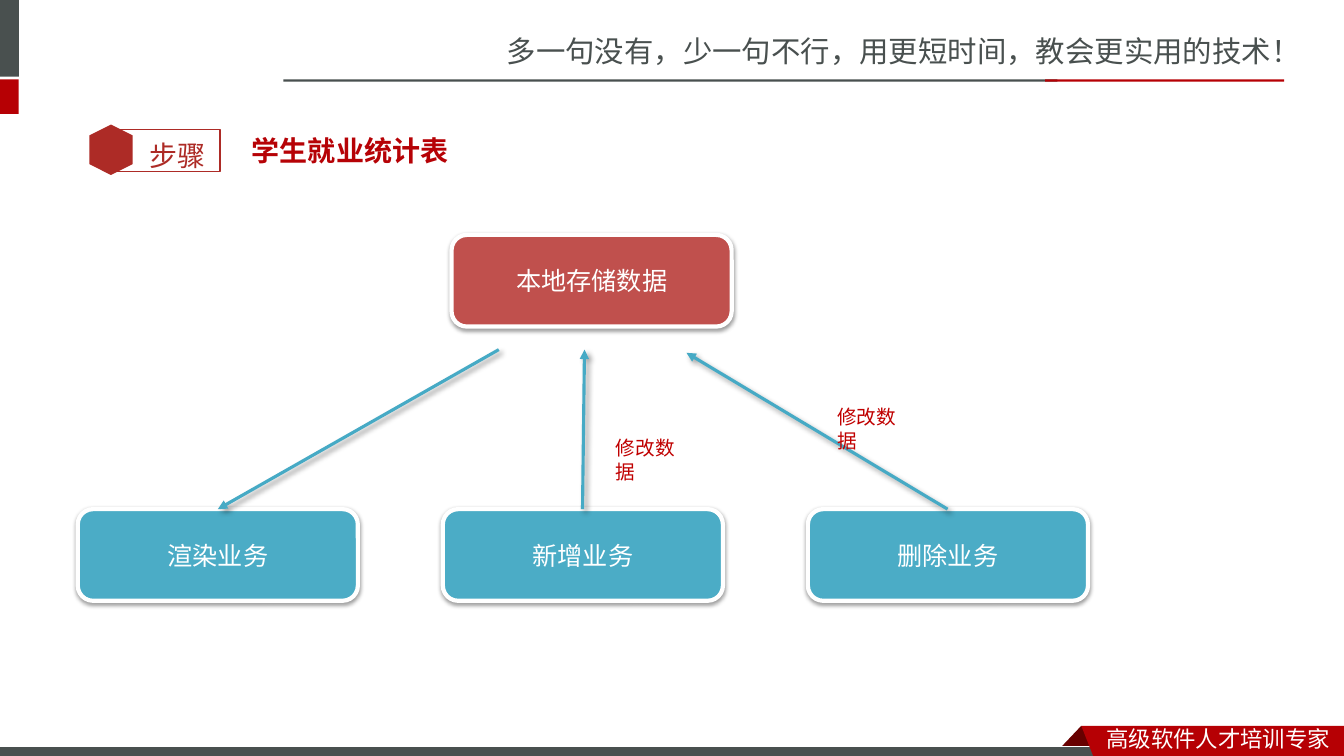
from lxml.etree import SubElement as Sub
from pptx import Presentation
from pptx.dml.color import RGBColor as Color
from pptx.enum.shapes import MSO_CONNECTOR as Link, MSO_SHAPE as Form
from pptx.enum.text import MSO_ANCHOR as Anchor, PP_ALIGN as Align
from pptx.oxml.ns import qn
from pptx.util import Cm, Pt


class Theme:
    gray, red, dark, rust = "49504F", "B60004", "680000", "AD2B26"
    title, label, white = "B60206", "C00000", "FFFFFF"
    teal, brick, arrow = "4BACC6", "C0504D", "46AAC5"
    sans, kanji = "Noto Sans CJK SC", "Noto Sans CJK JP"
    body, head, badge = "Calibri", "Lato", "Roboto"
    big, mid, node, foot, small = 21, 20, 18, 16, 14
    glow = (38, 3.1, 1.6, 90)
    drop = (40, 4, 3, 45)


BARS = [
    ((0, 0, 0.48, 1.93), Theme.gray),
    ((0, 2, 0.47, 0.87), Theme.red),
    ((7.14, 2, 19.51, 0.06), Theme.gray),
    ((26.34, 2, 6.02, 0.06), Theme.red),
]
FOLD = [(27.25, 18.29), (27.81, 18.87), (26.7, 18.87)]
BASE = (-0.03, 18.82, 27.94, 0.3)
RIBBON = [(27.25, 18.29), (33.87, 18.29), (33.87, 19.05), (27.55, 19.05)]
FRAME = (2.77, 3.27, 2.78, 1.05)
GEM = (2.16, 3.23, 1.27, 1.09)

SLOGAN = ("多一句没有，少一句不行，用更短时间，教会更实用的技术！", (12.52, 0.71, 21.35, 1.19))
MOTTO = ("高级软件人才培训专家", (27.64, 18.16, 6.22, 0.89))
STEP = ("步骤", (3.51, 2.95, 2.16, 1.42))
TITLE = ("学生就业统计表", (6.1, 3.07, 25.6, 1.45))

STORE = ("本地存储数据", (11.38, 5.92))
TASKS = ["渲染业务", "新增业务", "删除业务"]
LEFT, TOP, PITCH = 1.96, 12.83, 9.2
NODE = (7.06, 2.31)
ARROWS = [
    ((14.68, TOP), (14.73, 8.81)),
    ((12.57, 8.81), (5.49, TOP)),
    ((23.88, TOP), (17.3, 8.89)),
]
NOTE = "修改数据"
SPOTS = [(15.27, 10.87), (20.85, 10.08)]
SIZE = (2.46, 0.86)

deck = Presentation()
deck.slide_width, deck.slide_height = Cm(33.87), Cm(19.05)
slide = deck.slides.add_slide(deck.slide_layouts[6])
items = slide.shapes


def cms(box):
    return [Cm(n) for n in box]


def shade(item, cast=None):
    wrap = Sub(item._element.spPr, qn("a:effectLst"))
    if cast:
        alpha, blur, dist, turn = cast
        drop = Sub(wrap, qn("a:outerShdw"), blurRad=str(Pt(blur)), dist=str(Pt(dist)),
                   dir=str(turn * 60000), rotWithShape="0")
        tint = Sub(drop, qn("a:srgbClr"), val="000000")
        Sub(tint, qn("a:alpha"), val=str(alpha * 1000))


def paint(item, fill=None, line=None, width=1, cast=None):
    if fill:
        item.fill.solid()
        item.fill.fore_color.rgb = Color.from_string(fill)
    else:
        item.fill.background()
    if line:
        item.line.color.rgb = Color.from_string(line)
        item.line.width = Pt(width)
    else:
        item.line.fill.background()
    shade(item, cast)
    return item


def shape(form, box, *look):
    return paint(items.add_shape(form, *cms(box)), *look)


def outline(dots, fill):
    path = items.build_freeform(*cms(dots[0]), scale=1.0)
    path.add_line_segments([cms(dot) for dot in dots[1:]], close=True)
    return paint(path.convert_to_shape(), fill)


def write(item, words, size, font, color, bold=False, align=Align.LEFT,
          anchor=Anchor.TOP, asian=Theme.sans):
    frame = item.text_frame
    frame.word_wrap = True
    frame.vertical_anchor = anchor
    para = frame.paragraphs[0]
    para.alignment = align
    run = para.add_run()
    run.text = words
    run.font.size, run.font.name, run.font.bold = Pt(size), font, bold
    run.font.color.rgb = Color.from_string(color)
    Sub(run.font._element, qn("a:ea"), typeface=asian)
    return para


def text(words, box, *look, **more):
    return write(items.add_textbox(*cms(box)), words, *look, **more)


def node(words, spot, fill):
    item = shape(Form.ROUNDED_RECTANGLE, spot + NODE, fill, Theme.white, 3, Theme.glow)
    write(item, words, Theme.node, Theme.body, Theme.white,
          align=Align.CENTER, anchor=Anchor.MIDDLE)


def arrow(start, end):
    item = items.add_connector(Link.STRAIGHT, *cms(start + end))
    item.line.color.rgb = Color.from_string(Theme.arrow)
    item.line.width = Pt(2.25)
    Sub(item.line._get_or_add_ln(), qn("a:tailEnd"), type="triangle")
    shade(item, Theme.drop)


text(*SLOGAN, Theme.big, Theme.sans, Theme.gray)
for box, fill in BARS:
    shape(Form.RECTANGLE, box, fill)
outline(FOLD, Theme.dark)
shape(Form.RECTANGLE, BASE, Theme.gray, Theme.white, 0.75)
outline(RIBBON, Theme.red)
text(*MOTTO, Theme.foot, Theme.sans, Theme.white)

shape(Form.RECTANGLE, FRAME, None, Theme.rust)
shape(Form.HEXAGON, GEM, Theme.rust).rotation = 90
text(*STEP, Theme.mid, Theme.badge, Theme.rust).line_spacing = 1.5
text(*TITLE, Theme.mid, Theme.head, Theme.title, bold=True, anchor=Anchor.MIDDLE)

for i, task in enumerate(TASKS):
    node(task, (LEFT + i * PITCH, TOP), Theme.teal)
node(*STORE, Theme.brick)
for start, end in ARROWS:
    arrow(start, end)
for spot in SPOTS:
    text(NOTE, spot + SIZE, Theme.small, Theme.kanji, Theme.label, asian=Theme.kanji)

deck.save("out.pptx")
